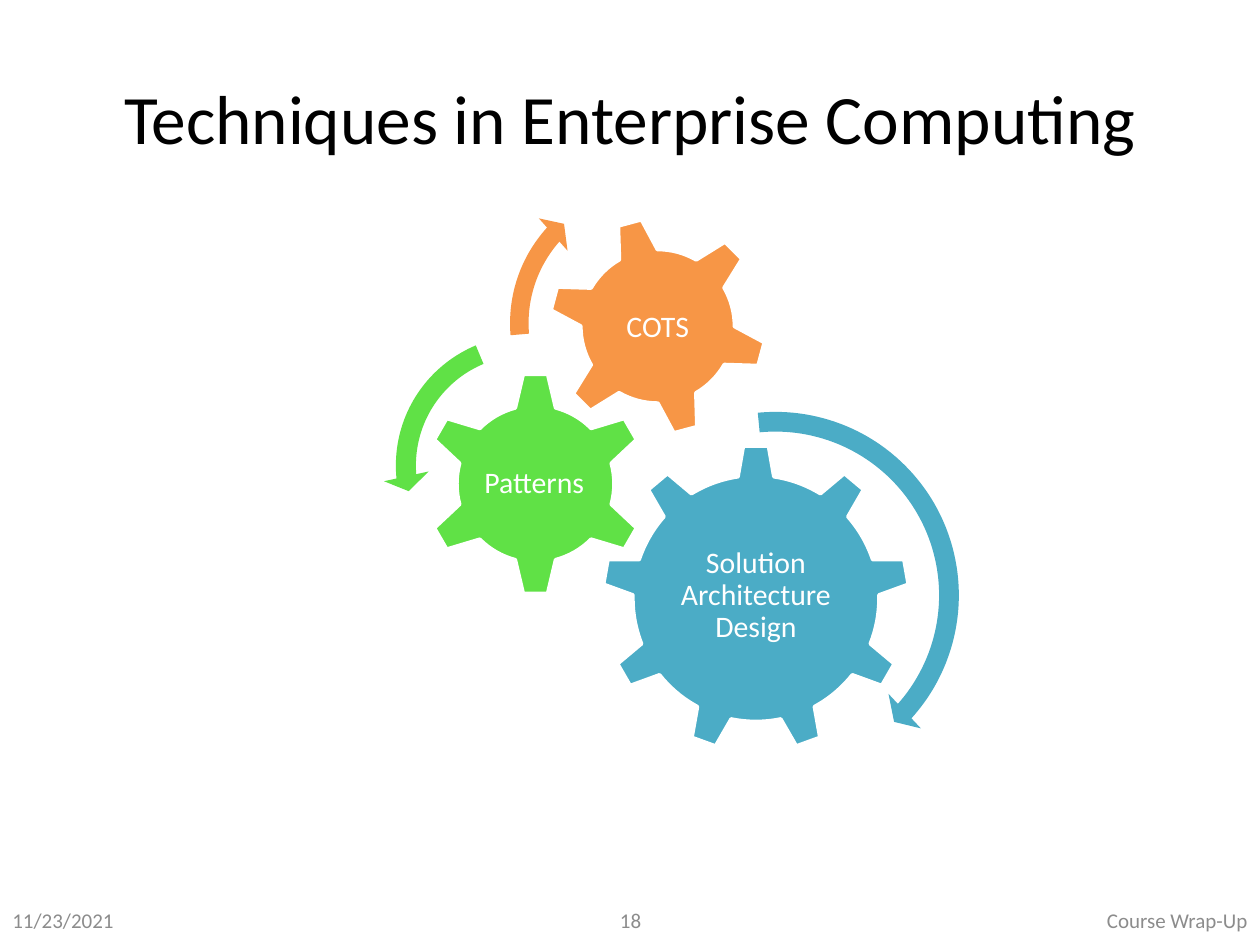
from dataclasses import dataclass

from pptx import Presentation
from pptx import util as u
from pptx.dml.color import RGBColor
from pptx.enum import shapes, text

PX = 9144
KIND = shapes.MSO_SHAPE
ALIGN = text.PP_ALIGN
Box = tuple[int, int, int, int]


@dataclass(frozen=True)
class Theme:
    font: str = "Calibri"
    ink: str = "000000"
    muted: str = "8C8C8C"
    white: str = "FFFFFF"
    blue: str = "4BACC6"
    green: str = "60E146"
    orange: str = "F79646"
    title_size: float = 39.6
    label_size: float = 17
    footer_size: float = 12
    outline: float = 2


@dataclass(frozen=True)
class Gear:
    label: str
    kind: KIND
    color: str
    box: Box
    label_box: Box
    rotation: int = 0


@dataclass(frozen=True)
class Turn:
    kind: KIND
    color: str
    box: Box
    adjustments: tuple[float, ...]


@dataclass(frozen=True)
class Footer:
    words: str
    box: Box
    align: ALIGN


THEME = Theme()
GEARS = (
    Gear("Solution Architecture Design", KIND.GEAR_9, THEME.blue,
         (478, 353, 244, 244), (527, 410, 146, 126)),
    Gear("Patterns", KIND.GEAR_6, THEME.green,
         (336, 295, 178, 178), (380, 340, 88, 88)),
    Gear("COTS", KIND.GEAR_6, THEME.orange,
         (435, 172, 174, 174), (473, 211, 98, 98), rotation=345),
)
TURNS = (
    Turn(KIND.CIRCULAR_ARROW, THEME.blue, (459, 316, 313, 313),
         (0.05, 2.99, 25.13, 158.68, 0.06)),
    Turn(KIND.LEFT_CIRCULAR_ARROW, THEME.green, (304, 256, 227, 227),
         (0.07, 4.3, 104.89, 148.38, 0.08)),
    Turn(KIND.CIRCULAR_ARROW, THEME.orange, (395, 134, 245, 245),
         (0.06, 3.94, 133.14, 105.08, 0.07)),
)
FOOTERS = (
    Footer("11/23/2021", (0, 710, 233, 40), ALIGN.LEFT),
    Footer("Course Wrap-Up", (767, 710, 233, 40), ALIGN.RIGHT),
    Footer("18", (342, 710, 317, 40), ALIGN.CENTER),
)


def emu(box: Box) -> list[int]:
    """Turn a box in px into EMU."""
    return [length * PX for length in box]


def write(shape, words: str, *, size: float, color: str, align: ALIGN = ALIGN.CENTER,
          spacing: float = 1.0, inset: tuple[int, int] = (10, 5)) -> None:
    """Put formatted, vertically centred text into a shape."""
    frame = shape.text_frame
    frame.word_wrap = True
    frame.auto_size = text.MSO_AUTO_SIZE.NONE
    frame.vertical_anchor = text.MSO_ANCHOR.MIDDLE
    frame.margin_left = frame.margin_right = inset[0] * PX
    frame.margin_top = frame.margin_bottom = inset[1] * PX
    paragraph = frame.paragraphs[0]
    paragraph.alignment = align
    paragraph.line_spacing = spacing
    run = paragraph.add_run()
    run.text = words
    run.font.name = THEME.font
    run.font.size = u.Pt(size)
    run.font.color.rgb = RGBColor.from_string(color)


def add_filled(slide, kind: KIND, box: Box, color: str):
    """Add a flat preset shape without an outline."""
    shape = slide.shapes.add_shape(kind, *emu(box))
    shape.shadow.inherit = False
    shape.fill.solid()
    shape.fill.fore_color.rgb = RGBColor.from_string(color)
    shape.line.fill.background()
    return shape


def draw_title(slide, words: str) -> None:
    """Place and format the title placeholder."""
    title = slide.shapes.title
    title.left, title.top, title.width, title.height = emu((50, 30, 900, 125))
    write(title, words, size=THEME.title_size, color=THEME.ink)


def draw_footer(slide, footer: Footer) -> None:
    """Draw one item of the footer."""
    write(slide.shapes.add_textbox(*emu(footer.box)), footer.words,
          size=THEME.footer_size, color=THEME.muted, align=footer.align)


def draw_gear(slide, gear: Gear) -> None:
    """Draw a gear with its upright label."""
    wheel = add_filled(slide, gear.kind, gear.box, gear.color)
    wheel.rotation = gear.rotation
    wheel.line.color.rgb = RGBColor.from_string(THEME.white)
    wheel.line.width = u.Pt(THEME.outline)
    write(slide.shapes.add_textbox(*emu(gear.label_box)), gear.label,
          size=THEME.label_size, color=THEME.white, spacing=0.9, inset=(2, 2))


def draw_turn(slide, turn: Turn) -> None:
    """Draw the arrow that shows which way a gear turns."""
    arrow = add_filled(slide, turn.kind, turn.box, turn.color)
    for index, value in enumerate(turn.adjustments):
        arrow.adjustments[index] = value


def main() -> None:
    """Build and save the slide."""
    deck = Presentation()
    deck.slide_width, deck.slide_height = 1000 * PX, 750 * PX
    slide = deck.slides.add_slide(deck.slide_layouts.get_by_name("Title Only"))
    draw_title(slide, "Techniques in Enterprise Computing")
    for footer in FOOTERS:
        draw_footer(slide, footer)
    for gear in GEARS:
        draw_gear(slide, gear)
    for turn in TURNS:
        draw_turn(slide, turn)
    deck.save("out.pptx")


if __name__ == "__main__":
    main()
